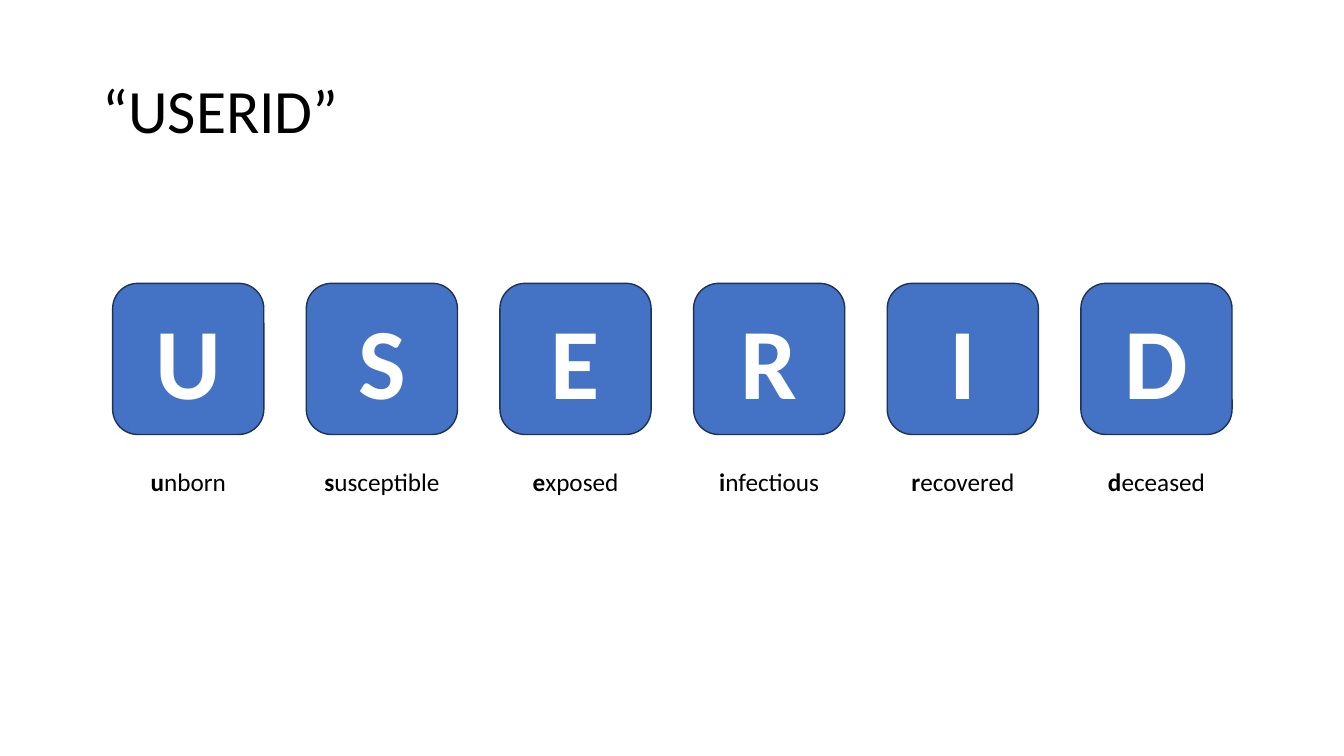
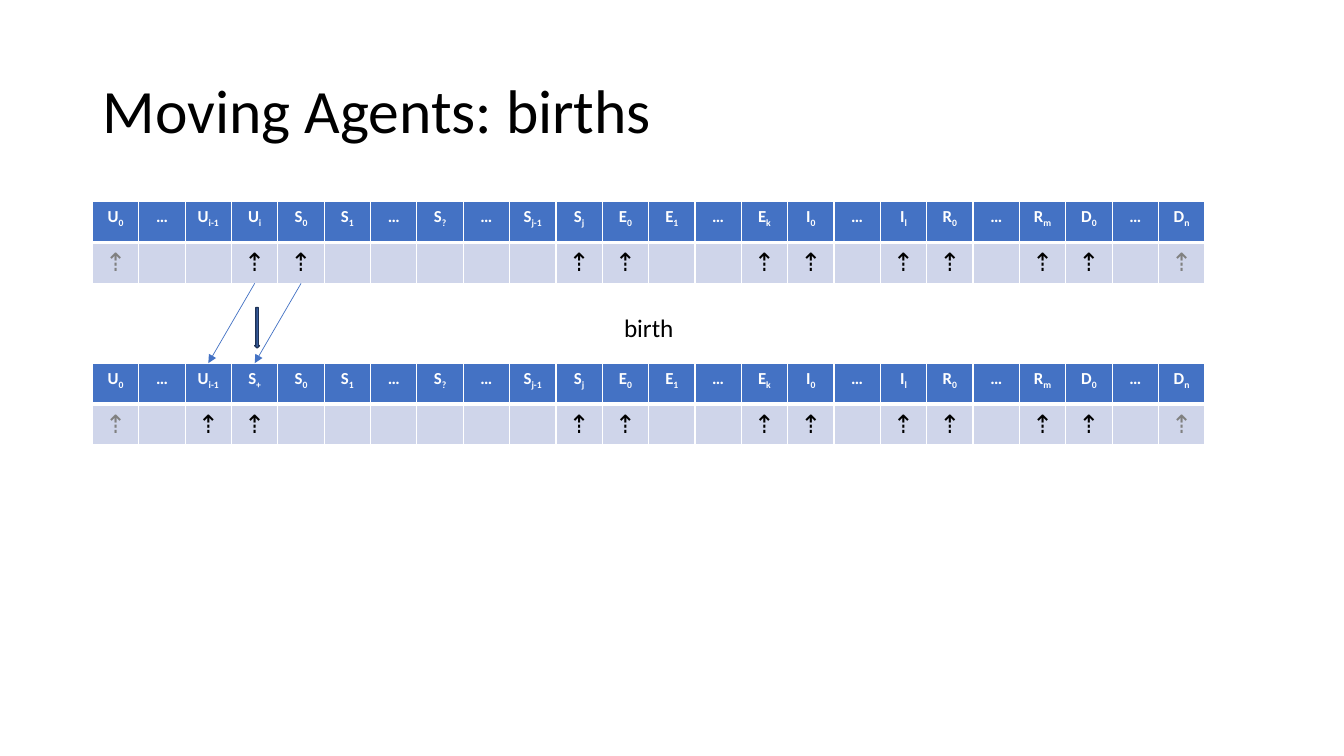
from dataclasses import dataclass

from lxml.etree import SubElement
from pptx import Presentation
from pptx.dml.color import RGBColor
from pptx.enum.shapes import MSO_CONNECTOR, MSO_SHAPE
from pptx.enum.text import MSO_ANCHOR, MSO_AUTO_SIZE, PP_ALIGN
from pptx.oxml.ns import qn
from pptx.util import Cm, Pt

STATES = [
    ("U", "unborn"),
    ("S", "susceptible"),
    ("E", "exposed"),
    ("R", "infectious"),
    ("I", "recovered"),
    ("D", "deceased"),
]

BEFORE_BIRTH = (
    "U_0 … U_i-1 U_i S_0 S_1 … S_? … S_j-1 S_j E_0 "
    "E_1 … E_k I_0 … I_l R_0 … R_m D_0 … D_n"
).split()
NEWBORN_COLUMN = 3
AFTER_BIRTH = [
    "S_+" if column == NEWBORN_COLUMN else header
    for column, header in enumerate(BEFORE_BIRTH)
]
END_MARKERS = {0, len(BEFORE_BIRTH) - 1}
FIXED_MARKERS = {10, 11, 14, 15, 17, 18, 20, 21} | END_MARKERS
MOVED_MARKERS = [(3, 2), (4, 3)]
MARKER = "⇡"


@dataclass(frozen=True)
class Theme:
    font: str = "Calibri"
    blue: str = "4472C4"
    outline: str = "1E3256"
    pale: str = "CFD5EA"
    gray: str = "808080"
    black: str = "000000"
    white: str = "FFFFFF"
    title_size: int = 44
    letter_size: int = 72
    body_size: int = 18
    header_size: int = 12


THEME = Theme()

TABLE_LEFT, TABLE_WIDTH = Cm(2.33), Cm(28.04)
COLUMN_WIDTH = TABLE_WIDTH // len(BEFORE_BIRTH)
ROW_HEIGHT = Cm(1.03)
BEFORE_TOP, AFTER_TOP = Cm(5.08), Cm(9.15)
BIRTH_TOP, BIRTH_HEIGHT = Cm(7.75), Cm(1.02)


def color(value):
    return RGBColor.from_string(value)


def add_run(paragraph, text, size, text_color=THEME.black, bold=False, subscript=False):
    run = paragraph.add_run()
    run.text = text
    run.font.name = THEME.font
    run.font.size = Pt(size)
    run.font.bold = bold
    run.font.color.rgb = color(text_color)
    if subscript:
        run.font._element.set("baseline", "-25000")


def add_titled_slide(presentation, text):
    slide = presentation.slides.add_slide(presentation.slide_layouts[5])
    title = slide.shapes.title
    title.left, title.top, title.width, title.height = Cm(2.33), Cm(1.01), Cm(29.21), Cm(3.68)
    frame = title.text_frame
    frame.word_wrap = True
    frame.auto_size = MSO_AUTO_SIZE.NONE
    frame.vertical_anchor = MSO_ANCHOR.MIDDLE
    paragraph = frame.paragraphs[0]
    paragraph.alignment = PP_ALIGN.LEFT
    paragraph.line_spacing = 0.9
    add_run(paragraph, text, THEME.title_size)
    return slide


def add_blue_shape(slide, kind, left, top, width, height):
    shape = slide.shapes.add_shape(kind, left, top, width, height)
    shape.shadow.inherit = False
    shape.fill.solid()
    shape.fill.fore_color.rgb = color(THEME.blue)
    shape.line.color.rgb = color(THEME.outline)
    shape.line.width = Pt(1)
    return shape


def add_label(slide, left, top, width, height, runs):
    frame = slide.shapes.add_textbox(left, top, width, height).text_frame
    frame.word_wrap = True
    frame.auto_size = MSO_AUTO_SIZE.SHAPE_TO_FIT_TEXT
    paragraph = frame.paragraphs[0]
    paragraph.alignment = PP_ALIGN.CENTER
    for text, bold in runs:
        add_run(paragraph, text, THEME.body_size, bold=bold)


def style_cell(cell, fill, bottom_width):
    properties = cell._tc.get_or_add_tcPr()
    for side, width in (("L", 1), ("R", 1), ("T", 1), ("B", bottom_width)):
        border = SubElement(properties, qn(f"a:ln{side}"), w=str(Pt(width)))
        border_fill = SubElement(border, qn("a:solidFill"))
        SubElement(border_fill, qn("a:srgbClr"), val=THEME.white)
    cell.fill.solid()
    cell.fill.fore_color.rgb = color(fill)


def add_agent_table(slide, top, headers, markers):
    table = slide.shapes.add_table(
        2, len(headers), TABLE_LEFT, top, TABLE_WIDTH, 2 * ROW_HEIGHT
    ).table
    for row in table.rows:
        row.height = ROW_HEIGHT
    for column, header in enumerate(headers):
        table.columns[column].width = COLUMN_WIDTH
        header_cell, marker_cell = table.cell(0, column), table.cell(1, column)
        style_cell(header_cell, THEME.blue, 3)
        style_cell(marker_cell, THEME.pale, 1)
        paragraph = header_cell.text_frame.paragraphs[0]
        paragraph.alignment = PP_ALIGN.CENTER
        letter, _, index = header.partition("_")
        add_run(paragraph, letter, THEME.header_size, THEME.white, bold=True)
        if index:
            add_run(paragraph, index, THEME.header_size, THEME.white, bold=True, subscript=True)
        if column in markers:
            paragraph = marker_cell.text_frame.paragraphs[0]
            paragraph.alignment = PP_ALIGN.CENTER
            marker_color = THEME.gray if column in END_MARKERS else THEME.black
            add_run(paragraph, MARKER, THEME.body_size, marker_color)


def column_center(column):
    return TABLE_LEFT + COLUMN_WIDTH * (2 * column + 1) // 2


def add_move_arrow(slide, source, target):
    arrow = slide.shapes.add_connector(
        MSO_CONNECTOR.STRAIGHT,
        column_center(source), BEFORE_TOP + 2 * ROW_HEIGHT,
        column_center(target), AFTER_TOP,
    )
    arrow.line.color.rgb = color(THEME.blue)
    arrow.line.width = Pt(0.5)
    SubElement(arrow.line._get_or_add_ln(), qn("a:tailEnd"), type="triangle")
    SubElement(arrow._element.spPr, qn("a:effectLst"))


def build_states_slide(presentation):
    slide = add_titled_slide(presentation, "“USERID”")
    size, pitch = Cm(3.81), Cm(4.88)
    for position, (letter, word) in enumerate(STATES):
        left = Cm(2.84) + position * pitch
        tile = add_blue_shape(slide, MSO_SHAPE.ROUNDED_RECTANGLE, left, Cm(7.14), size, size)
        tile.text_frame.vertical_anchor = MSO_ANCHOR.MIDDLE
        paragraph = tile.text_frame.paragraphs[0]
        paragraph.alignment = PP_ALIGN.CENTER
        add_run(paragraph, letter, THEME.letter_size, THEME.white, bold=True)
        add_label(slide, left, Cm(11.63), size, Cm(1.02), [(word[0], True), (word[1:], False)])


def build_births_slide(presentation):
    slide = add_titled_slide(presentation, "Moving Agents: births")
    sources = {source for source, _ in MOVED_MARKERS}
    targets = {target for _, target in MOVED_MARKERS}
    add_agent_table(slide, BEFORE_TOP, BEFORE_BIRTH, FIXED_MARKERS | sources)
    add_label(slide, TABLE_LEFT, BIRTH_TOP, TABLE_WIDTH, BIRTH_HEIGHT, [("birth", False)])
    add_agent_table(slide, AFTER_TOP, AFTER_BIRTH, FIXED_MARKERS | targets)
    for source, target in MOVED_MARKERS:
        add_move_arrow(slide, source, target)
    add_blue_shape(
        slide, MSO_SHAPE.DOWN_ARROW,
        column_center(NEWBORN_COLUMN), BIRTH_TOP, Cm(0.12), BIRTH_HEIGHT,
    )


def main():
    presentation = Presentation()
    presentation.slide_width, presentation.slide_height = Cm(33.87), Cm(19.05)
    build_states_slide(presentation)
    build_births_slide(presentation)
    presentation.save("out.pptx")


if __name__ == "__main__":
    main()
